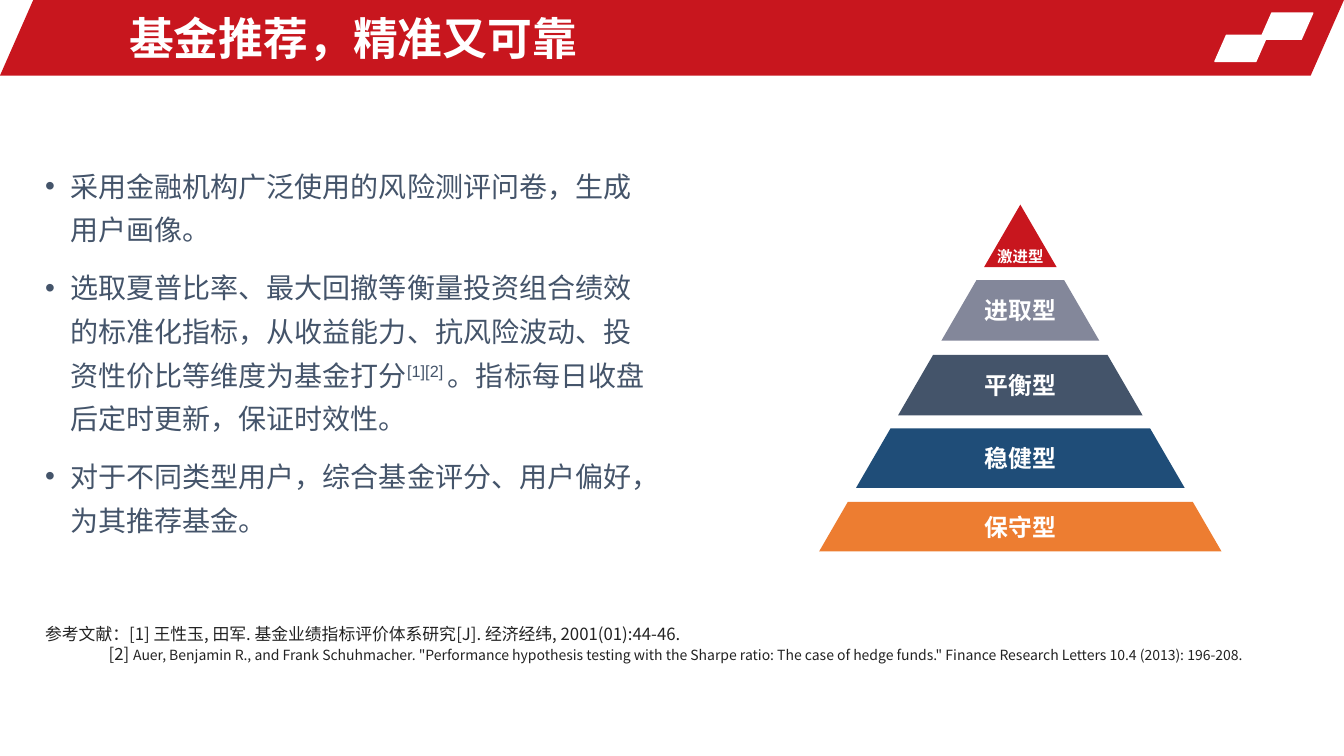
from dataclasses import dataclass

from lxml.etree import SubElement
from pptx import Presentation
from pptx.dml.color import RGBColor
from pptx.enum.shapes import MSO_SHAPE as Preset
from pptx.enum.text import MSO_ANCHOR as Anchor, MSO_AUTO_SIZE as AutoSize, PP_ALIGN as Align
from pptx.oxml.ns import qn
from pptx.util import Inches, Pt


@dataclass(frozen=True)
class Theme:
    red: str = "C8161E"
    white: str = "FFFFFF"
    slate: str = "44546A"
    gray: str = "83879A"
    blue: str = "1F4D78"
    orange: str = "ED7D31"
    ink: str = "222222"
    latin: str = "Arial"
    chinese: str = "Noto Sans CJK SC"
    title_size: int = 32
    body_size: int = 20
    tier_size: int = 17
    tip_size: int = 11
    reference_size: int = 12
    citation_size: int = 10


THEME = Theme()


@dataclass(frozen=True)
class Slant:
    left: float
    top: float
    width: float
    height: float
    color: str
    outlined: bool = False


@dataclass(frozen=True)
class Tier:
    label: str
    top: float
    bottom: float
    color: str
    size: int = THEME.tier_size
    anchor: Anchor = Anchor.MIDDLE


SLANTS = (
    Slant(0, 0, 13.33, 0.75, THEME.red),
    Slant(12.5, 0.13, 0.52, 0.26, THEME.white, True),
    Slant(12.05, 0.35, 0.52, 0.26, THEME.white, True),
)
APEX_X, APEX_Y, HALF_WIDTH_PER_DEPTH = 10.12, 2.03, 0.58
TIERS = (
    Tier("激进型", APEX_Y, 2.65, THEME.red, THEME.tip_size, Anchor.BOTTOM),
    Tier("进取型", 2.78, 3.38, THEME.gray),
    Tier("平衡型", 3.52, 4.12, THEME.slate),
    Tier("稳健型", 4.25, 4.84, THEME.blue),
    Tier("保守型", 4.98, 5.47, THEME.orange),
)
BULLETS = (
    ("采用金融机构广泛使用的风险测评问卷，生成用户画像。",),
    (
        "选取夏普比率、最大回撤等衡量投资组合绩效的标准化指标，从收益能力、抗风险波动、投资性价比等维度为基金打分",
        "[1][2] ",
        "。指标每日收盘后定时更新，保证时效性。",
    ),
    ("对于不同类型用户，综合基金评分、用户偏好，为其推荐基金。",),
)
FIRST_REFERENCE = "参考文献：[1] 王性玉, 田军. 基金业绩指标评价体系研究[J]. 经济经纬, 2001(01):44-46."
SECOND_REFERENCE = (
    'Auer, Benjamin R., and Frank Schuhmacher. "Performance hypothesis testing with the Sharpe ratio: '
    'The case of hedge funds." Finance Research Letters 10.4 (2013): 196-208.'
)


def add_run(paragraph, text: str, *, size: int, color: str, latin: str = THEME.chinese,
            bold: bool = False, superscript: bool = False) -> None:
    run = paragraph.add_run()
    run.text = text
    run.font.size = Pt(size)
    run.font.bold = bold
    run.font.color.rgb = RGBColor.from_string(color)
    run.font.name = latin
    properties = run._r.get_or_add_rPr()
    SubElement(properties, qn("a:ea")).set("typeface", THEME.chinese)
    if superscript:
        properties.set("baseline", "30000")


def indent(paragraph, margin: float, first_line: float = 0, bullet: str = "") -> None:
    properties = paragraph._p.get_or_add_pPr()
    properties.set("marL", str(Inches(margin)))
    properties.set("indent", str(Inches(first_line)))
    if bullet:
        SubElement(properties, qn("a:buFont")).set("typeface", THEME.latin)
        SubElement(properties, qn("a:buChar")).set("char", bullet)


def paint(shape, color: str, outlined: bool = False) -> None:
    shape.shadow.inherit = False
    shape.fill.solid()
    shape.fill.fore_color.rgb = RGBColor.from_string(color)
    if outlined:
        shape.line.color.rgb = RGBColor.from_string(color)
        shape.line.width = Pt(1)
    else:
        shape.line.fill.background()


def add_slant(slide, slant: Slant) -> None:
    shape = slide.shapes.add_shape(Preset.PARALLELOGRAM, Inches(slant.left), Inches(slant.top),
                                   Inches(slant.width), Inches(slant.height))
    shape.adjustments[0] = 0.44
    paint(shape, slant.color, slant.outlined)


def add_title(slide, text: str) -> None:
    title = slide.shapes.title
    title.element.getparent().append(title.element)
    title.left, title.top, title.width, title.height = (
        Inches(1.18), Inches(0.05), Inches(7.74), Inches(0.65))
    frame = title.text_frame
    frame.auto_size = AutoSize.NONE
    frame.vertical_anchor = Anchor.MIDDLE
    paragraph = frame.paragraphs[0]
    paragraph.alignment = Align.LEFT
    add_run(paragraph, text, size=THEME.title_size, color=THEME.white, latin=THEME.latin, bold=True)


def add_text_frame(slide, left: float, top: float, width: float, height: float):
    box = slide.shapes.add_textbox(Inches(left), Inches(top), Inches(width), Inches(height))
    box.text_frame.word_wrap = True
    return box.text_frame


def add_bullets(slide) -> None:
    frame = add_text_frame(slide, 0.35, 1.53, 6.19, 5.21)
    for index, pieces in enumerate(BULLETS):
        paragraph = frame.add_paragraph() if index else frame.paragraphs[0]
        indent(paragraph, 0.25, -0.25, "•")
        paragraph.line_spacing = Pt(31.2)
        if index:
            paragraph.space_before = Pt(10)
        for piece in pieces:
            add_run(paragraph, piece, size=THEME.body_size, color=THEME.slate,
                    latin=THEME.latin, superscript=piece.startswith("["))


def add_tier(slide, tier: Tier) -> None:
    top_half, bottom_half = (
        (y - APEX_Y) * HALF_WIDTH_PER_DEPTH for y in (tier.top, tier.bottom))
    corners = [(APEX_X - top_half, tier.top), (APEX_X + top_half, tier.top),
               (APEX_X + bottom_half, tier.bottom), (APEX_X - bottom_half, tier.bottom)]
    points = [(Inches(x), Inches(y)) for x, y in corners]
    builder = slide.shapes.build_freeform(*points[0])
    builder.add_line_segments(points[1:], close=True)
    shape = builder.convert_to_shape()
    paint(shape, tier.color)
    frame = shape.text_frame
    frame.word_wrap = False
    frame.vertical_anchor = tier.anchor
    frame.margin_left = frame.margin_right = 0
    frame.margin_top = frame.margin_bottom = Inches(0.02)
    paragraph = frame.paragraphs[0]
    paragraph.alignment = Align.CENTER
    add_run(paragraph, tier.label, size=tier.size, color=THEME.white, bold=True)


def add_references(slide) -> None:
    frame = add_text_frame(slide, 0.35, 6.14, 12.83, 0.5)
    add_run(frame.paragraphs[0], FIRST_REFERENCE, size=THEME.reference_size, color=THEME.ink)
    paragraph = frame.add_paragraph()
    indent(paragraph, 0.63)
    add_run(paragraph, "[2] ", size=THEME.reference_size, color=THEME.ink)
    add_run(paragraph, SECOND_REFERENCE, size=THEME.citation_size, color=THEME.ink)


def main() -> None:
    presentation = Presentation()
    presentation.slide_width, presentation.slide_height = Inches(13.33), Inches(7.5)
    slide = presentation.slides.add_slide(presentation.slide_layouts[5])
    for slant in SLANTS:
        add_slant(slide, slant)
    add_title(slide, "基金推荐，精准又可靠")
    add_bullets(slide)
    for tier in TIERS:
        add_tier(slide, tier)
    add_references(slide)
    presentation.save("out.pptx")


if __name__ == "__main__":
    main()
